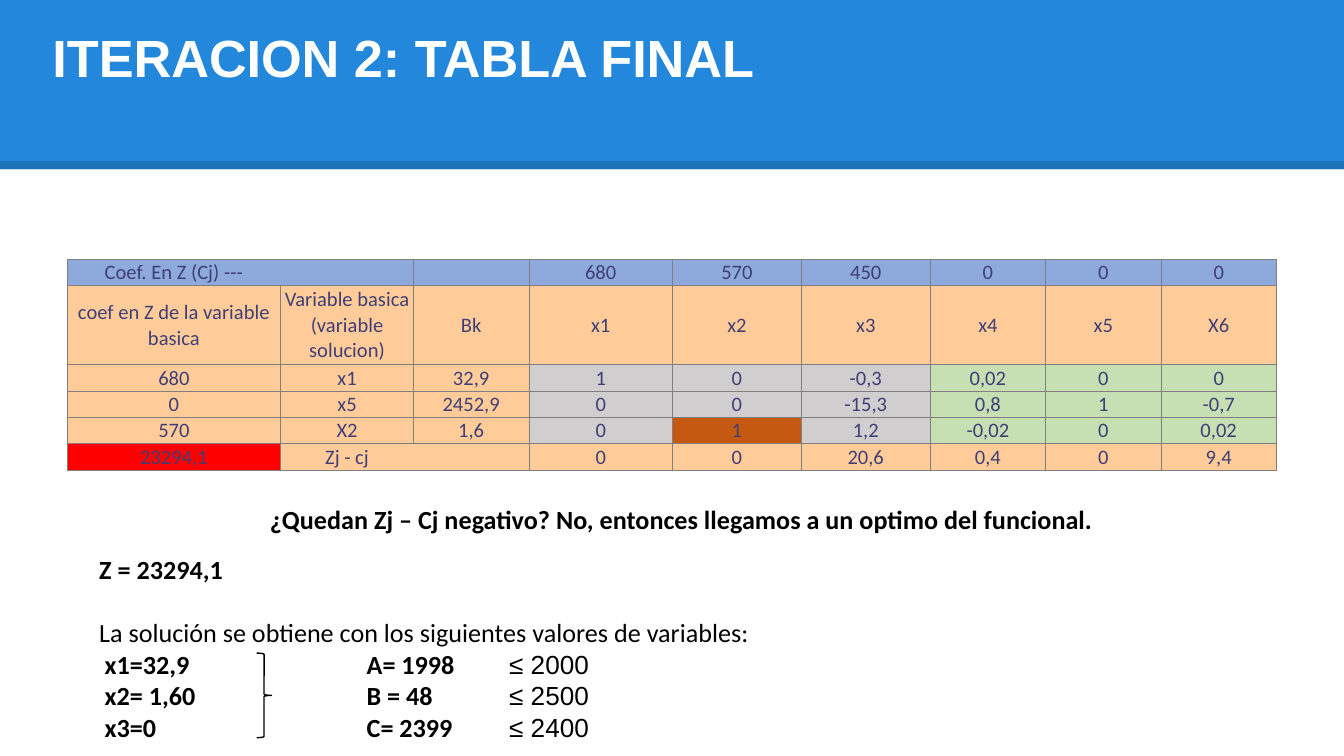
"""Builds the slide with the final simplex table and its solution."""
from lxml import etree
from pptx import Presentation
from pptx.dml.color import RGBColor
from pptx.enum import shapes, text
from pptx.oxml.ns import qn
from pptx.util import Inches, Pt

WHITE = RGBColor(0xFF, 0xFF, 0xFF)
BLACK = RGBColor(0, 0, 0)
BAND_BLUE = RGBColor(0x23, 0x88, 0xDB)
TABLE_INK = RGBColor(0x3F, 0x3F, 0x76)
GRID_GRAY = RGBColor(0x7F, 0x7F, 0x7F)
FILLS = {
    "B": RGBColor(0x8E, 0xA9, 0xDB),
    "O": RGBColor(0xFF, 0xCC, 0x99),
    "S": RGBColor(0xD0, 0xCE, 0xCE),
    "G": RGBColor(0xC6, 0xE0, 0xB4),
    "P": RGBColor(0xC6, 0x59, 0x11),
    "R": RGBColor(0xFF, 0, 0),
}

TITLE = "ITERACION 2: TABLA FINAL"
SIMPLEX = [
    ("BBBBBBBBB", ["Coef. En Z (Cj) ---", "", "", "680", "570", "450", "0", "0", "0"]),
    ("OOOOOOOOO", ["coef en Z de la variable basica", "Variable basica (variable solucion)",
                   "Bk", "x1", "x2", "x3", "x4", "x5", "X6"]),
    ("OOOSSSGGG", ["680", "x1", "32,9", "1", "0", "-0,3", "0,02", "0", "0"]),
    ("OOOSSSGGG", ["0", "x5", "2452,9", "0", "0", "-15,3", "0,8", "1", "-0,7"]),
    ("OOOSPSGGG", ["570", "X2", "1,6", "0", "1", "1,2", "-0,02", "0", "0,02"]),
    ("ROOOOOOOO", ["23294,1", "Zj - cj", "", "0", "0", "20,6", "0,4", "0", "9,4"]),
]
TABLE_WIDTH, TABLE_HEIGHT = Inches(9), Inches(1.57)
COLUMN_SHARES = [1.59, 0.99, 0.86, 1.07, 0.96, 0.96, 0.86, 0.86, 0.86]
ROW_LINES = [1, 3, 1, 1, 1, 1]
OPEN_RIGHT = {(0, 0), (5, 1)}
QUESTION = "¿Quedan Zj – Cj negativo? No, entonces llegamos a un optimo del funcional."
OPTIMUM = "Z = 23294,1"
INTRO = "La solución se obtiene con los siguientes valores de variables:"
SOLUTION = [
    ("x1=32,9", "A= 1998", "≤ 2000"),
    ("x2= 1,60", "B = 48", "≤ 2500"),
    ("x3=0", "C= 2399", "≤ 2400"),
]
SOLUTION_TABS = [0.04, 1.99, 3.05]


def style(font, size, color, name, bold=False):
    font.size, font.name, font.bold = Pt(size), name, bold
    font.color.rgb = color


def set_borders(cell, row, column):
    hidden = {"lnR": (row, column) in OPEN_RIGHT, "lnL": (row, column - 1) in OPEN_RIGHT}
    for side in ("lnL", "lnR", "lnT", "lnB"):
        edge = etree.SubElement(cell._tc.get_or_add_tcPr(), qn(f"a:{side}"), w=str(Pt(0.5)))
        if hidden.get(side):
            etree.SubElement(edge, qn("a:noFill"))
        else:
            paint = etree.SubElement(edge, qn("a:solidFill"))
            etree.SubElement(paint, qn("a:srgbClr"), val=str(GRID_GRAY))


def add_header(slide):
    band = slide.shapes.add_shape(shapes.MSO_SHAPE.RECTANGLE, 0, 0, Inches(10), Inches(1.26))
    band.shadow.inherit = False
    band.fill.solid()
    band.fill.fore_color.rgb = BAND_BLUE
    band.line.fill.background()

    rule = slide.shapes.add_connector(
        shapes.MSO_CONNECTOR.STRAIGHT, 0, Inches(1.23), Inches(10), Inches(1.23))
    rule.line.width = Pt(4.5)
    rule.line.color.rgb = BLACK
    properties = rule._element.spPr
    etree.SubElement(properties.find(".//" + qn("a:srgbClr")), qn("a:alpha"), val="14000")
    etree.SubElement(properties, qn("a:effectLst"))

    title = slide.shapes.title
    title._element.getparent().append(title._element)
    title.left, title.top, title.width, title.height = map(Inches, (0.29, 0.14, 9.12, 1.99))
    frame = title.text_frame
    frame.text = TITLE
    frame.vertical_anchor = text.MSO_ANCHOR.TOP
    frame.auto_size = text.MSO_AUTO_SIZE.NONE
    frame.paragraphs[0].alignment = text.PP_ALIGN.LEFT
    style(frame.paragraphs[0].font, 28, WHITE, "Arial", True)


def add_simplex(slide):
    table = slide.shapes.add_table(
        len(ROW_LINES), len(COLUMN_SHARES),
        Inches(0.5), Inches(1.93), TABLE_WIDTH, TABLE_HEIGHT).table
    table.first_row = table.horz_banding = False
    for column, share in zip(table.columns, COLUMN_SHARES):
        column.width = int(TABLE_WIDTH * share / sum(COLUMN_SHARES))
    for row, lines in zip(table.rows, ROW_LINES):
        row.height = int(TABLE_HEIGHT * lines / sum(ROW_LINES))
    for r, (fills, values) in enumerate(SIMPLEX):
        for c, (fill, value) in enumerate(zip(fills, values)):
            cell = table.cell(r, c)
            cell.margin_left = cell.margin_right = cell.margin_top = cell.margin_bottom = 0
            cell.vertical_anchor = text.MSO_ANCHOR.MIDDLE
            set_borders(cell, r, c)
            cell.fill.solid()
            cell.fill.fore_color.rgb = FILLS[fill]
            cell.text = value
            paragraph = cell.text_frame.paragraphs[0]
            paragraph.alignment = text.PP_ALIGN.CENTER
            style(paragraph.font, 11, TABLE_INK, "Calibri")
            if not value:
                etree.SubElement(paragraph._p, qn("a:endParaRPr"), sz="1100")


def add_text(slide, left, top, width, height):
    frame = slide.shapes.add_textbox(*map(Inches, (left, top, width, height))).text_frame
    frame.word_wrap = True
    return frame


def add_solution(slide):
    question = add_text(slide, 1.91, 3.7, 7.26, 0.34).paragraphs[0]
    question.text = QUESTION
    style(question.font, 14, BLACK, "Calibri", True)

    frame = add_text(slide, 0.64, 4.07, 7.26, 1.75)
    optimum, intro = frame.paragraphs[0], frame.add_paragraph()
    optimum.text, intro.text = OPTIMUM, INTRO
    intro.space_before = Pt(17)
    style(optimum.font, 14, BLACK, "Calibri", True)
    style(intro.font, 14, BLACK, "Calibri")

    for variable, resource, limit in SOLUTION:
        line = frame.add_paragraph()
        tabs = etree.SubElement(line._p.get_or_add_pPr(), qn("a:tabLst"))
        for position in SOLUTION_TABS:
            etree.SubElement(tabs, qn("a:tab"), pos=str(Inches(position)), algn="l")
        for part, name, bold in ((f"\t{variable}\t{resource}\t", "Calibri", True),
                                 (limit, "Arial", False)):
            run = line.add_run()
            run.text = part
            style(run.font, 14, BLACK, name, bold)

    brace = slide.shapes.add_shape(
        shapes.MSO_SHAPE.RIGHT_BRACE, Inches(1.91), Inches(4.86), Inches(0.11), Inches(0.63))
    brace.shadow.inherit = False
    brace.fill.background()
    brace.line.color.rgb = BLACK
    brace.line.width = Pt(0.75)


def main():
    deck = Presentation()
    deck.slide_width = Inches(10)
    deck.slide_height = deck.slide_width * 9 // 16
    slide = deck.slides.add_slide(deck.slide_layouts[5])
    add_header(slide)
    add_simplex(slide)
    add_solution(slide)
    deck.save("out.pptx")


if __name__ == "__main__":
    main()
